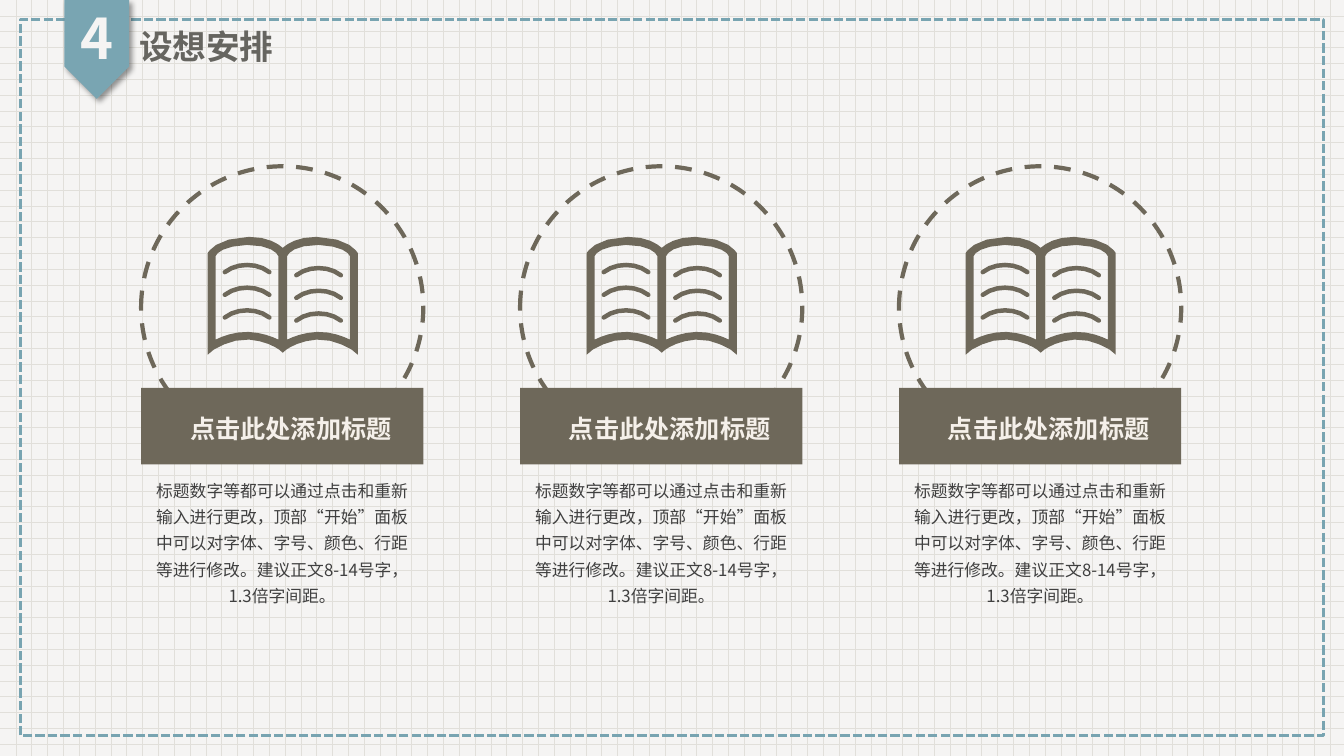
from lxml import etree
from pptx import Presentation
from pptx.dml.color import RGBColor
from pptx.enum import dml, lang, shapes, text
from pptx.oxml import parse_xml
from pptx.oxml.ns import qn
from pptx.util import Pt

FONT = "Noto Sans CJK SC"
PAPER = RGBColor(0xF5, 0xF4, 0xF3)
GRID = RGBColor(0xE1, 0xDF, 0xDA)
BORDER = RGBColor(0x78, 0xA4, 0xB1)
TAG = RGBColor(0x79, 0xA5, 0xB2)
TITLE = RGBColor(0x66, 0x65, 0x60)
BROWN = RGBColor(0x6E, 0x68, 0x5A)
CREAM = RGBColor(0xF5, 0xF0, 0xEA)
BODY = RGBColor(0x40, 0x40, 0x40)

HEADING = "点击此处添加标题"
DETAIL = ("标题数字等都可以通过点击和重新输入进行更改，顶部“开始”面板中可以对字体、"
          "字号、颜色、行距等进行修改。建议正文8-14号字，1.3倍字间距。")

LEFT, PITCH, WIDTH, COLUMNS = 100.8, 270.7, 201.6, 3

COVER_HALF = [
    (0, 7.9), (3.2, 5, 10.4, 0, 24.1, 0),
    (47.9, 0.7, 52.9, 10.8, 53.6, 11.5), (53.6, 84.2), (49.3, 80.6),
    (48.6, 80.6, 37.8, 72.7, 24.1, 73.4),
    (13.3, 74.2, 5.4, 78.5, 2.5, 80.6), (0, 82.8),
]
PAGE = [
    (3.2, 73.4), (7.6, 71.3, 14.8, 68.4, 24.5, 67.9),
    (35, 67.7, 43.6, 71.3, 47.9, 73.4), (47.9, 13.7),
    (47.2, 11.5, 42.1, 6.5, 25.6, 5.8), (9, 5.8, 4, 11.5, 3.2, 13.7),
]
TEXT_LINE = [(2.2, 7.2), (11, 0.4, 25.2, 0.4, 34, 7.2)]


def flatten(path, steps=4):
    pts = []
    for seg in path:
        if len(seg) == 2:
            pts.append(seg)
            continue
        (x0, y0), (x1, y1, x2, y2, x3, y3) = pts[-1], seg
        for i in range(1, steps + 1):
            t = i / steps
            a, b, c, d = (1 - t) ** 3, 3 * t * (1 - t) ** 2, 3 * t * t * (1 - t), t ** 3
            pts.append((a * x0 + b * x1 + c * x2 + d * x3,
                        a * y0 + b * y1 + c * y2 + d * y3))
    return pts


def mirror(pts):
    return [(-x, y) for x, y in reversed(pts)]


def add_outline(parent, contours, x, y, close=True, **look):
    placed = [[(Pt(x + px), Pt(y + py)) for px, py in c] for c in contours]
    fb = parent.build_freeform(*placed[0][0])
    fb.add_line_segments(placed[0][1:], close=close)
    for c in placed[1:]:
        fb.move_to(*c[0])
        fb.add_line_segments(c[1:], close=close)
    return style(fb.convert_to_shape(), **look)


def style(sp, fill=None, line=None, weight=0, dash=None):
    sp.shadow.inherit = False
    if fill is None:
        sp.fill.background()
    else:
        sp.fill.solid()
        sp.fill.fore_color.rgb = fill
    if line is None:
        sp.line.fill.background()
    else:
        sp.line.color.rgb = line
        sp.line.width = Pt(weight)
        sp.line.dash_style = dash
    return sp


def add_preset(parent, kind, x, y, w, h, **look):
    return style(parent.add_shape(kind, Pt(x), Pt(y), Pt(w), Pt(h)), **look)


def add_shadow(sp):
    effects = sp._element.spPr.find(qn("a:effectLst"))
    effects.append(parse_xml(
        '<a:outerShdw xmlns:a="http://schemas.openxmlformats.org/drawingml/2006/main"'
        ' blurRad="50800" dist="38100" dir="2700000" algn="tl" rotWithShape="0">'
        '<a:srgbClr val="000000"><a:alpha val="40000"/></a:srgbClr></a:outerShdw>'))


def set_text(sp, words, size, color, bold=False, align=text.PP_ALIGN.CENTER,
             anchor=text.MSO_ANCHOR.TOP, spacing=None, before=0, wrap=True,
             fit=text.MSO_AUTO_SIZE.NONE):
    tf = sp.text_frame
    tf.word_wrap = wrap
    tf.auto_size = fit
    tf.vertical_anchor = anchor
    p = tf.paragraphs[0]
    p.alignment = align
    p.space_before = Pt(before)
    if spacing:
        p.line_spacing = spacing
    r = p.add_run()
    r.text = words
    f = r.font
    f.name, f.size, f.bold = FONT, Pt(size), bold
    f.color.rgb = color
    f.language_id = lang.MSO_LANGUAGE_ID.SIMPLIFIED_CHINESE
    latin = r._r.rPr.find(qn("a:latin"))
    latin.addnext(etree.Element(qn("a:ea"), typeface=FONT))


def add_text(parent, x, y, w, h, words, **fmt):
    set_text(parent.add_textbox(Pt(x), Pt(y), Pt(w), Pt(h)), words, **fmt)


def add_header(s):
    add_preset(s.shapes, shapes.MSO_SHAPE.RECTANGLE, 14.4, 13.7, 931, 512,
               line=BORDER, weight=2.25, dash=dml.MSO_LINE.SQUARE_DOT)
    tag = add_preset(s.shapes, shapes.MSO_SHAPE.PENTAGON, 33.8, 12.2, 70.6, 46.1, fill=TAG)
    tag.rotation = 90
    add_shadow(tag)
    fmt = dict(bold=True, anchor=text.MSO_ANCHOR.MIDDLE, spacing=0.9, before=10)
    add_text(s.shapes, 46.1, 0, 46.1, 59, "4", size=40, color=PAPER, **fmt)
    title = s.shapes.title
    title.left, title.top, title.width, title.height = Pt(92.2), Pt(16.6), Pt(331.2), Pt(36.7)
    set_text(title, "设想安排", size=24, color=TITLE, align=text.PP_ALIGN.LEFT, **fmt)


def add_book(s, x):
    book = s.shapes.add_group_shape().shapes
    half, page = flatten(COVER_HALF), flatten(PAGE)
    add_outline(book, [half + mirror(half)[1:-1], page, mirror(page)],
                x + 101.2, 169.2, fill=BROWN)
    for dx, top in ((57.6, 187.2), (108.7, 189.4)):
        for row in range(3):
            arc = add_outline(book, [flatten(TEXT_LINE, 6)], x + dx, top + 16.2 * row,
                              close=False, line=BROWN, weight=3.2)
            arc._element.spPr.find(qn("a:ln")).set("cap", "rnd")


def add_column(s, x):
    add_preset(s.shapes, shapes.MSO_SHAPE.OVAL, x, 118.8, WIDTH, WIDTH,
               line=BROWN, weight=3, dash=dml.MSO_LINE.DASH)
    grow = text.MSO_AUTO_SIZE.SHAPE_TO_FIT_TEXT
    add_text(s.shapes, x, 335.5, WIDTH, 101.5, DETAIL, size=12, color=BODY,
             spacing=1.3, fit=grow)
    banner = s.shapes.add_group_shape().shapes
    add_preset(banner, shapes.MSO_SHAPE.RECTANGLE, x, 277, WIDTH, 54.7, fill=BROWN)
    add_text(banner, x + 27, 291.4, 159.8, 29.1, HEADING, size=18, color=CREAM,
             bold=True, wrap=False, fit=grow)
    add_book(s, x)


def main():
    prs = Presentation()
    prs.slide_width, prs.slide_height = Pt(960), Pt(540)
    s = prs.slides.add_slide(prs.slide_layouts[5])
    fill = s.background.fill
    fill.patterned()
    fill.pattern = dml.MSO_PATTERN.DOTTED_GRID
    fill.fore_color.rgb, fill.back_color.rgb = GRID, PAPER
    add_header(s)
    for i in range(COLUMNS):
        add_column(s, LEFT + PITCH * i)
    prs.save("out.pptx")


if __name__ == "__main__":
    main()
